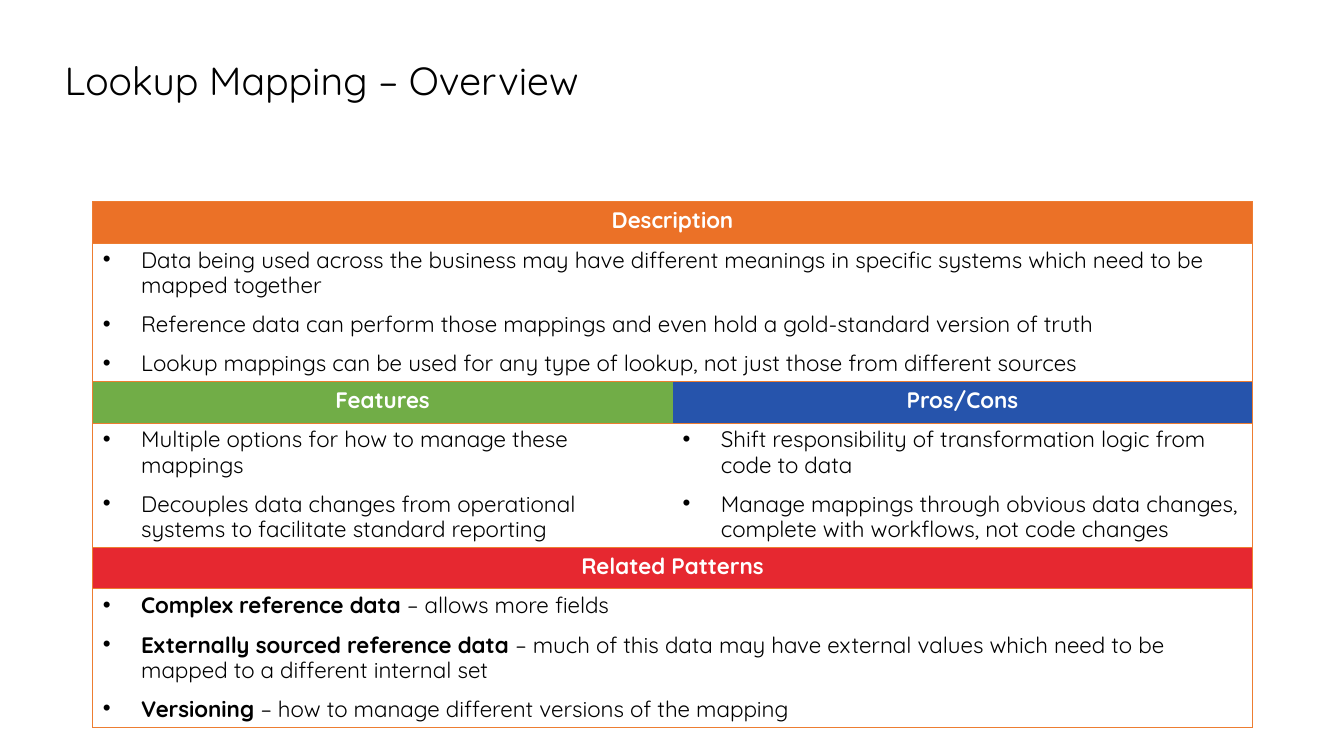
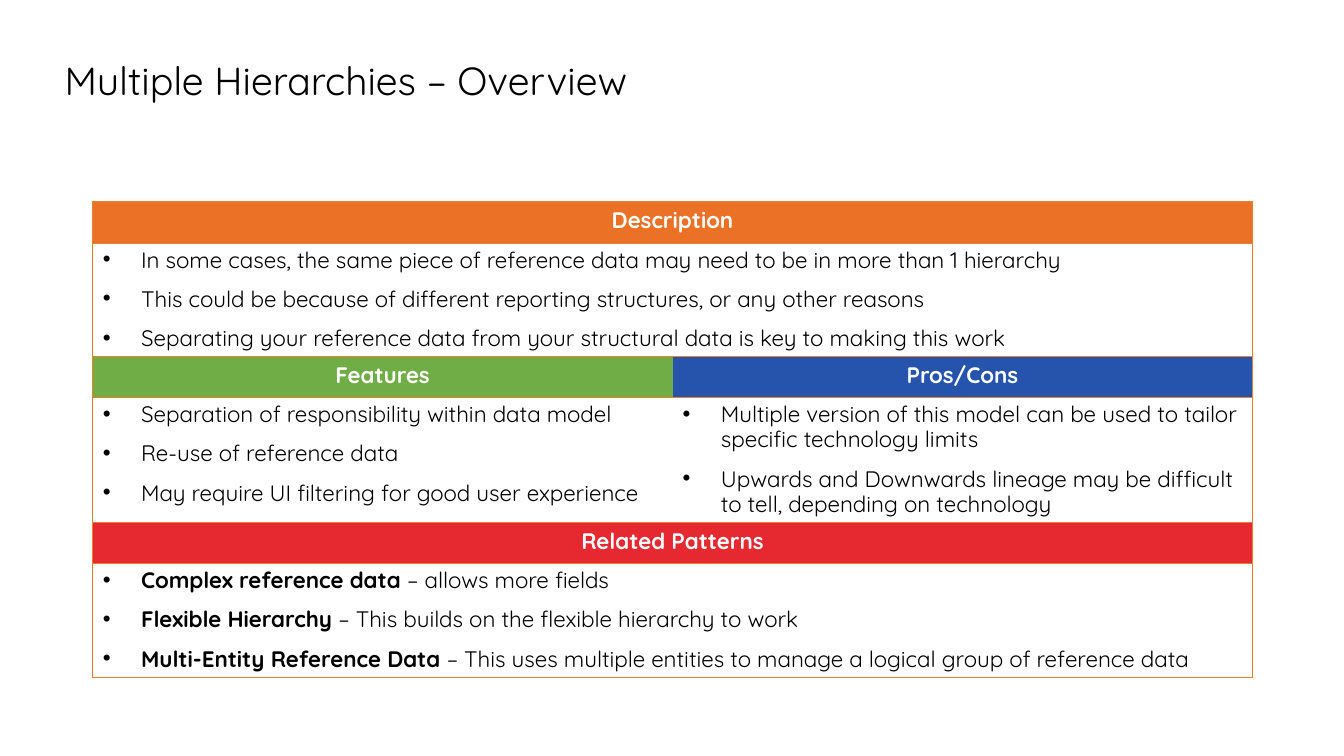
"""Build two pattern overview slides, each with a title and a summary table."""
from dataclasses import dataclass

from lxml import etree
from pptx import Presentation
from pptx.dml.color import RGBColor
from pptx.enum.text import MSO_ANCHOR, PP_ALIGN
from pptx.oxml.ns import qn
from pptx.util import Inches, Pt

LEFT, CENTER = PP_ALIGN.LEFT, PP_ALIGN.CENTER
MIDDLE = MSO_ANCHOR.MIDDLE
FONT = "Quicksand"
COLORS = {
    "text": "000000",
    "header_text": "FFFFFF",
    "border": "ED7D31",
    "description": "EB7127",
    "features": "71AD47",
    "pros_cons": "2654AC",
    "related": "E62830",
}
TITLE_ONLY = 5
TITLE_BOX = (0.54, 0.54, 10.59, 0.56)
TABLE_LEFT, TABLE_TOP = 0.92, 2
COL_WIDTH, ROW_HEIGHT = 5.75, 0.41
ROWS, COLS = 6, 2
INDENT = 0.38
BORDER_WIDTH = 0.5
SIDES = "LRTB"


@dataclass(frozen=True)
class Point:
    """One bullet, with an optional bold lead."""
    text: str
    lead: str = ""


@dataclass(frozen=True)
class Section:
    """A header cell and the body cell below it."""
    heading: str
    color: str
    row: int
    col: int = 0
    span: int = 1


@dataclass(frozen=True)
class Overview:
    """The title of a slide and the points of each section, in order."""
    title: str
    points: tuple[tuple[Point, ...], ...]


SECTIONS = (
    Section("Description", "description", 0, span=2),
    Section("Features", "features", 2),
    Section("Pros/Cons", "pros_cons", 2, col=1),
    Section("Related Patterns", "related", 4, span=2),
)

OVERVIEWS = (
    Overview("Lookup Mapping – Overview", (
        (
            Point("Data being used across the business may have different meanings "
                  "in specific systems which need to be mapped together"),
            Point("Reference data can perform those mappings and even hold a "
                  "gold-standard version of truth"),
            Point("Lookup mappings can be used for any type of lookup, not just "
                  "those from different sources"),
        ),
        (
            Point("Multiple options for how to manage these mappings"),
            Point("Decouples data changes from operational systems to facilitate "
                  "standard reporting"),
        ),
        (
            Point("Shift responsibility of transformation logic from code to data"),
            Point("Manage mappings through obvious data changes, complete with "
                  "workflows, not code changes"),
        ),
        (
            Point("– allows more fields", "Complex reference data "),
            Point("– much of this data may have external values which need to be "
                  "mapped to a different internal set",
                  "Externally sourced reference data "),
            Point("– how to manage different versions of the mapping", "Versioning "),
        ),
    )),
    Overview("Multiple Hierarchies – Overview", (
        (
            Point("In some cases, the same piece of reference data may need to be "
                  "in more than 1 hierarchy"),
            Point("This could be because of different reporting structures, or any "
                  "other reasons"),
            Point("Separating your reference data from your structural data is key "
                  "to making this work"),
        ),
        (
            Point("Separation of responsibility within data model"),
            Point("Re-use of reference data"),
            Point("May require UI filtering for good user experience"),
        ),
        (
            Point("Multiple version of this model can be used to tailor specific "
                  "technology limits"),
            Point("Upwards and Downwards lineage may be difficult to tell, "
                  "depending on technology"),
        ),
        (
            Point("– allows more fields", "Complex reference data "),
            Point("– This builds on the flexible hierarchy to work",
                  "Flexible Hierarchy "),
            Point("– This uses multiple entities to manage a logical group of "
                  "reference data", "Multi-Entity Reference Data "),
        ),
    )),
)


def add_run(p, text: str, *, size: float = 16, bold: bool = False,
            color: str = "text") -> None:
    """Append formatted text to a paragraph."""
    r = p.add_run()
    r.text = text
    r.font.name = FONT
    r.font.size = Pt(size)
    r.font.bold = bold
    r.font.color.rgb = RGBColor.from_string(COLORS[color])


def add_bullet(p) -> None:
    """Give a paragraph a round bullet and a hanging indent."""
    pPr = p._p.get_or_add_pPr()
    pPr.set("marL", str(Inches(INDENT)))
    pPr.set("indent", str(-Inches(INDENT)))
    etree.SubElement(pPr, qn("a:buFont"), typeface="Arial")
    etree.SubElement(pPr, qn("a:buChar"), char="•")


def set_borders(cell, sides: str) -> None:
    """Draw the named sides of a cell and clear the others."""
    tcPr = cell._tc.get_or_add_tcPr()
    for i, side in enumerate(SIDES):
        ln = etree.Element(qn(f"a:ln{side}"), w=str(Pt(BORDER_WIDTH)))
        if side in sides:
            fill = etree.SubElement(ln, qn("a:solidFill"))
            etree.SubElement(fill, qn("a:srgbClr"), val=COLORS["border"])
        else:
            etree.SubElement(ln, qn("a:noFill"))
        tcPr.insert(i, ln)


def fill_header(cell, section: Section) -> None:
    """Colour a header cell and write its heading."""
    cell.fill.solid()
    cell.fill.fore_color.rgb = RGBColor.from_string(COLORS[section.color])
    p = cell.text_frame.paragraphs[0]
    p.alignment = CENTER
    add_run(p, section.heading, bold=True, color="header_text")


def fill_body(cell, points: tuple[Point, ...]) -> None:
    """Write bullets into a body cell."""
    cell.fill.background()
    tf = cell.text_frame
    for i, point in enumerate(points):
        p = tf.add_paragraph() if i else tf.paragraphs[0]
        add_bullet(p)
        p.line_spacing = 0.9
        p.space_before = Pt(10 if i else 0)
        if point.lead:
            add_run(p, point.lead, bold=True)
        add_run(p, point.text)


def add_title(s, text: str) -> None:
    """Place and format the slide title."""
    sp = s.shapes.title
    sp.left, sp.top, sp.width, sp.height = map(Inches, TITLE_BOX)
    tf = sp.text_frame
    tf.word_wrap = True
    tf.vertical_anchor = MIDDLE
    p = tf.paragraphs[0]
    p.alignment = LEFT
    p.line_spacing = 0.9
    add_run(p, text, size=28)


def add_summary(s, points: tuple[tuple[Point, ...], ...]) -> None:
    """Draw the table of sections."""
    frame = s.shapes.add_table(
        ROWS, COLS, Inches(TABLE_LEFT), Inches(TABLE_TOP),
        Inches(COLS * COL_WIDTH), Inches(ROWS * ROW_HEIGHT))
    table = frame.table
    table.first_row = table.horz_banding = False
    for section, section_points in zip(SECTIONS, points):
        last = section.col + section.span - 1
        sides = "TB" + "L" * (section.col == 0) + "R" * (last == COLS - 1)
        for row in (section.row, section.row + 1):
            cell = table.cell(row, section.col)
            if section.span > 1:
                cell.merge(table.cell(row, last))
            for col in range(section.col, last + 1):
                set_borders(table.cell(row, col), sides)
        fill_header(table.cell(section.row, section.col), section)
        fill_body(table.cell(section.row + 1, section.col), section_points)


def main() -> None:
    """Build and save the presentation."""
    prs = Presentation()
    prs.slide_width, prs.slide_height = Inches(13.33), Inches(7.5)
    for overview in OVERVIEWS:
        s = prs.slides.add_slide(prs.slide_layouts[TITLE_ONLY])
        add_summary(s, overview.points)
        add_title(s, overview.title)
    prs.save("out.pptx")


if __name__ == "__main__":
    main()
